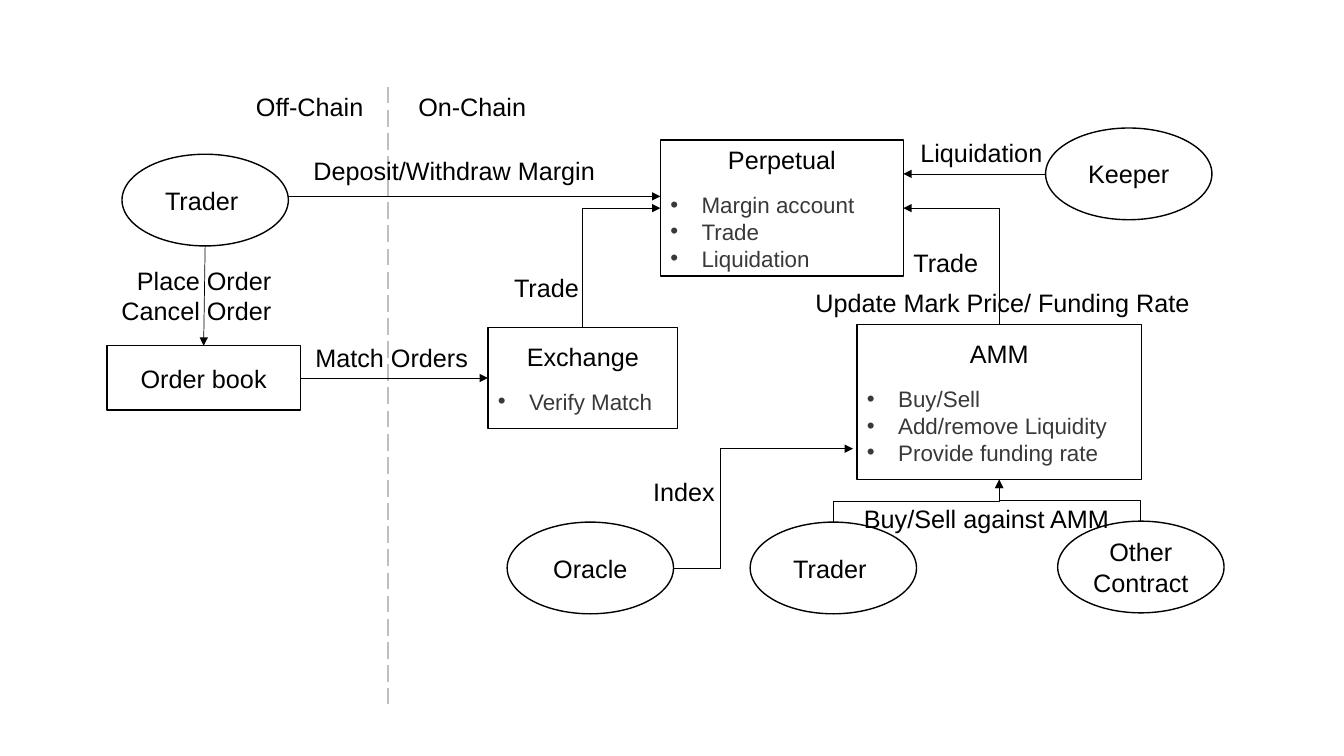
from dataclasses import dataclass

from lxml import etree
from pptx import Presentation
from pptx.dml.color import RGBColor
from pptx.enum.dml import MSO_LINE
from pptx.enum.shapes import MSO_CONNECTOR, MSO_SHAPE
from pptx.enum.text import MSO_ANCHOR, MSO_AUTO_SIZE, PP_ALIGN
from pptx.oxml.ns import qn
from pptx.util import Pt

PX = 9144  # 100 px to the inch
BLACK = RGBColor(0x00, 0x00, 0x00)
DARK_GREY = RGBColor(0x3B, 0x38, 0x38)
LIGHT_GREY = RGBColor(0xBF, 0xBF, 0xBF)
FONT = "Arial"
RECTANGLE, OVAL = MSO_SHAPE.RECTANGLE, MSO_SHAPE.OVAL
STRAIGHT, ELBOW = MSO_CONNECTOR.STRAIGHT, MSO_CONNECTOR.ELBOW
LEFT, CENTER, RIGHT = PP_ALIGN.LEFT, PP_ALIGN.CENTER, PP_ALIGN.RIGHT
TOP_SITE, LEFT_SITE, RIGHT_SITE = 0, 1, 3
ACTOR_WIDTH, ACTOR_HEIGHT = 165, 91
BULLET_INDENT = 31


@dataclass
class Box:
    left: int
    top: int
    width: int
    height: int

    def place(self, x, y, width, height):
        """EMU frame of a part measured from this box's corner."""
        return [n * PX for n in (self.left + x, self.top + y, width, height)]


def style_text(para, size=18, color=BLACK, align=LEFT):
    para.alignment = align
    para.font.name = FONT
    para.font.size = Pt(size)
    para.font.color.rgb = color


def add_label(page, box, text, x, y, width, height=40, align=LEFT, wrap=False):
    frame = page.shapes.add_textbox(*box.place(x, y, width, height)).text_frame
    frame.word_wrap = wrap
    frame.auto_size = MSO_AUTO_SIZE.SHAPE_TO_FIT_TEXT
    frame.text = text
    for para in frame.paragraphs:
        style_text(para, align=align)


def add_bullet(frame, text):
    para = frame.add_paragraph()
    para.text = text
    properties = para._p.get_or_add_pPr()
    properties.set("marL", str(BULLET_INDENT * PX))
    properties.set("indent", str(-BULLET_INDENT * PX))
    etree.SubElement(properties, qn("a:buFont")).set("typeface", FONT)
    etree.SubElement(properties, qn("a:buChar")).set("char", "•")
    style_text(para, 16, DARK_GREY)


def add_node(page, preset, frame_emu, title, bullets=()):
    node = page.shapes.add_shape(preset, *frame_emu)
    node.shadow.inherit = False
    node.fill.background()
    node.line.color.rgb = BLACK
    node.line.width = Pt(1)
    frame = node.text_frame
    frame.word_wrap = True
    frame.vertical_anchor = MSO_ANCHOR.MIDDLE
    frame.text = title
    style_text(frame.paragraphs[0], align=CENTER)
    for bullet in bullets:
        add_bullet(frame, bullet)
    if bullets:
        frame.paragraphs[1].space_before = Pt(11.5)
    return node


def add_actor(page, box, name, x, y):
    return add_node(page, OVAL, box.place(x, y, ACTOR_WIDTH, ACTOR_HEIGHT), name)


def spot(node, across, down):
    """Point at the given shares of a node's width and height."""
    return (round(node.left + across * node.width),
            round(node.top + down * node.height))


def add_line(page, kind, start, end, color=BLACK, width=0.5):
    line = page.shapes.add_connector(kind, *start, *end)
    line.line.color.rgb = color
    line.line.width = Pt(width)
    etree.SubElement(line._element.spPr, qn("a:effectLst"))
    return line


def add_arrow(page, start, end, kind=STRAIGHT):
    arrow = add_line(page, kind, start, end)
    outline = arrow.line._get_or_add_ln()
    etree.SubElement(outline, qn("a:tailEnd")).set("type", "triangle")
    return arrow


def add_rising_arrow(page, start, end, preset):
    """Elbow arrow that leaves its start upwards: an elbow turned a quarter."""
    (x1, y1), (x2, y2) = start, end
    center_x, center_y = (x1 + x2) // 2, (y1 + y2) // 2
    half_width, half_height = (y1 - y2) // 2, abs(x2 - x1) // 2
    rightward = x2 > x1
    reach = half_width if rightward else -half_width
    arrow = add_arrow(page, (center_x + reach, center_y + half_height),
                      (center_x - reach, center_y - half_height), ELBOW)
    properties = arrow._element.spPr
    quarter_turns = 1 if rightward else 3
    properties.find(qn("a:xfrm")).set("rot", str(quarter_turns * 5400000))
    properties.find(qn("a:prstGeom")).set("prst", preset)


def draw_divider(page, box):
    x, top = box.left * PX, box.top * PX
    divider = add_line(page, STRAIGHT, (x, top), (x, top + box.height * PX),
                       LIGHT_GREY, 1.5)
    divider.line.dash_style = MSO_LINE.LONG_DASH


def draw_off_chain(page, box):
    add_label(page, box, "Off-Chain", 138, 0, 128)
    add_label(page, box, "Place Order\nCancel Order", 3, 172, 170, 71, RIGHT)
    trader = add_actor(page, box, "Trader ", 15, 67)
    order_book = add_node(page, RECTANGLE, box.place(0, 257, 192, 64), "Order book")
    placing = add_arrow(page, spot(trader, 0.5, 1), spot(order_book, 0.5, 0))
    placing.end_connect(order_book, TOP_SITE)
    return trader, order_book


def draw_on_chain(page, box):
    add_label(page, box, "On-Chain", 20, 0, 128)
    exchange = add_node(page, RECTANGLE, box.place(99, 239, 188, 100),
                        "Exchange", ["Verify Match"])
    perpetual = add_node(page, RECTANGLE, box.place(270, 53, 241, 135), "Perpetual",
                         ["Margin account", "Trade", "Liquidation"])
    amm = add_node(page, RECTANGLE, box.place(465, 236, 282, 154), "AMM",
                   ["Buy/Sell", "Add/remove Liquidity", "Provide funding rate"])
    keeper = add_actor(page, box, "Keeper", 652, 41)
    oracle = add_actor(page, box, "Oracle", 118, 432)
    amm_trader = add_actor(page, box, "Trader ", 359, 432)
    contract = add_actor(page, box, "Other Contract", 664, 431)

    keeper_side = spot(keeper, 0, 0.5)
    add_arrow(page, keeper_side, (perpetual.left + perpetual.width, keeper_side[1]))
    for source, across in ((exchange, 0), (amm, 1)):
        add_rising_arrow(page, spot(source, 0.5, 0), spot(perpetual, across, 0.5),
                         "bentConnector2")
    for source in (amm_trader, contract):
        add_rising_arrow(page, spot(source, 0.5, 0), spot(amm, 0.5, 1),
                         "bentConnector3")

    amm_x, amm_y = spot(amm, 0, 0.8)
    index_arrow = add_arrow(page, spot(oracle, 1, 0.5), (amm_x - 4 * PX, amm_y), ELBOW)
    geometry = index_arrow._element.spPr.find(qn("a:prstGeom"))
    bend = etree.SubElement(geometry.find(qn("a:avLst")), qn("a:gd"))
    bend.set("name", "adj1")
    bend.set("fmla", "val 25900")

    for text, x, y, width in (("Trade", 115, 179, 85), ("Trade", 511, 154, 85),
                              ("Buy/Sell against AMM", 462, 408, 266),
                              ("Liquidation", 518, 45, 142),
                              ("Index", 253, 382, 82)):
        add_label(page, box, text, x, y, width)
    add_label(page, box, "Update Mark Price/ Funding Rate", 414, 194, 403, wrap=True)
    return exchange, perpetual


def draw_crossings(page, box, trader, order_book, exchange, perpetual):
    """Arrows and labels that run from one chain side to the other."""
    matching = add_arrow(page, spot(order_book, 1, 0.5), spot(exchange, 0, 0.5))
    matching.begin_connect(order_book, RIGHT_SITE)
    matching.end_connect(exchange, LEFT_SITE)
    trader_side = spot(trader, 1, 0.46)
    add_arrow(page, trader_side, (perpetual.left, trader_side[1]))
    add_label(page, box, "Match Orders", 197, 249, 173)
    add_label(page, box, "Deposit/Withdraw Margin", 195, 63, 302)


def main():
    deck = Presentation()
    deck.slide_width, deck.slide_height = 1333 * PX, 750 * PX
    page = deck.slides.add_slide(deck.slide_layouts[6])
    off_chain = Box(106, 86, 279, 612)
    on_chain = Box(385, 86, 829, 612)
    draw_divider(page, on_chain)
    trader, order_book = draw_off_chain(page, off_chain)
    exchange, perpetual = draw_on_chain(page, on_chain)
    draw_crossings(page, off_chain, trader, order_book, exchange, perpetual)
    deck.save("out.pptx")


if __name__ == "__main__":
    main()
